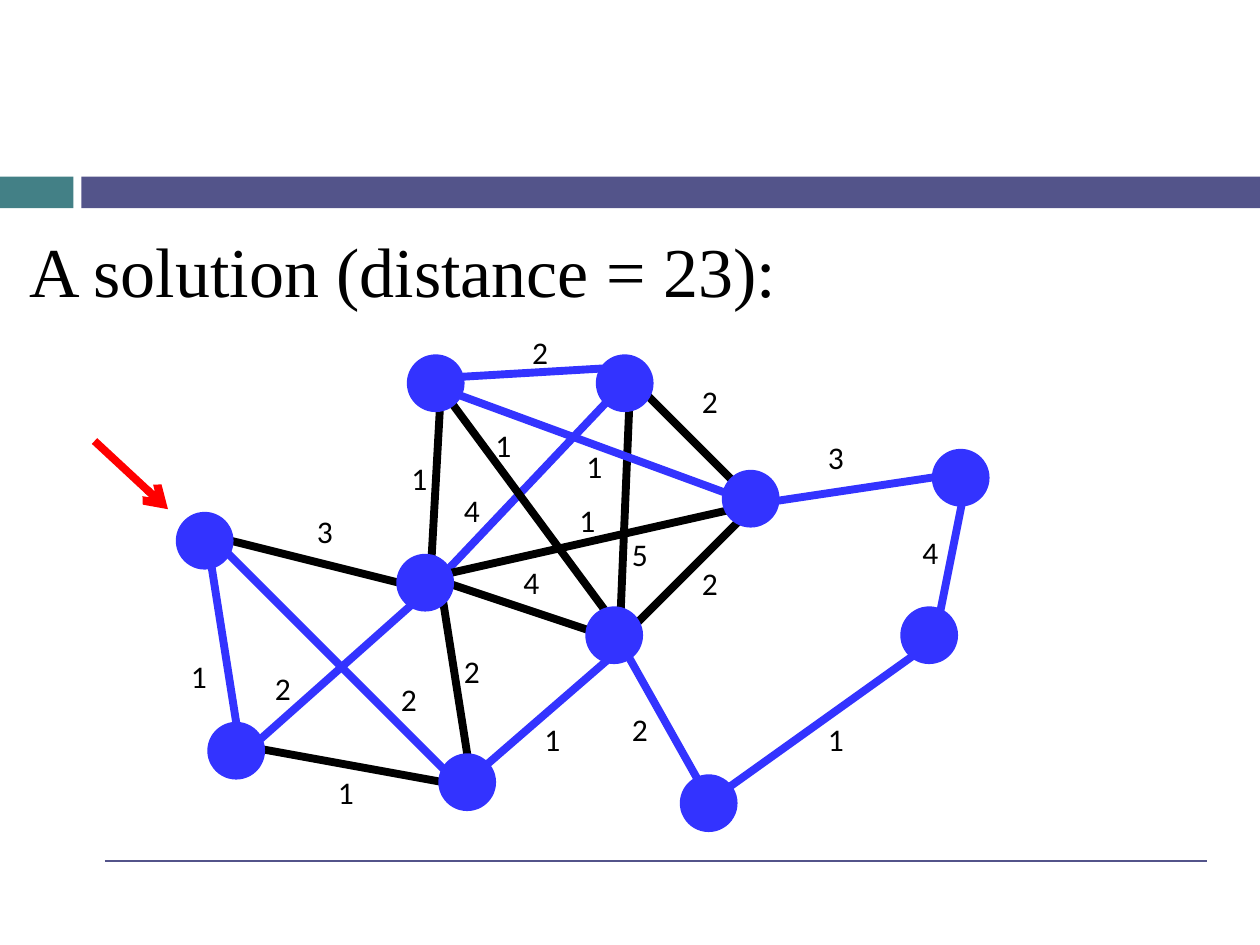
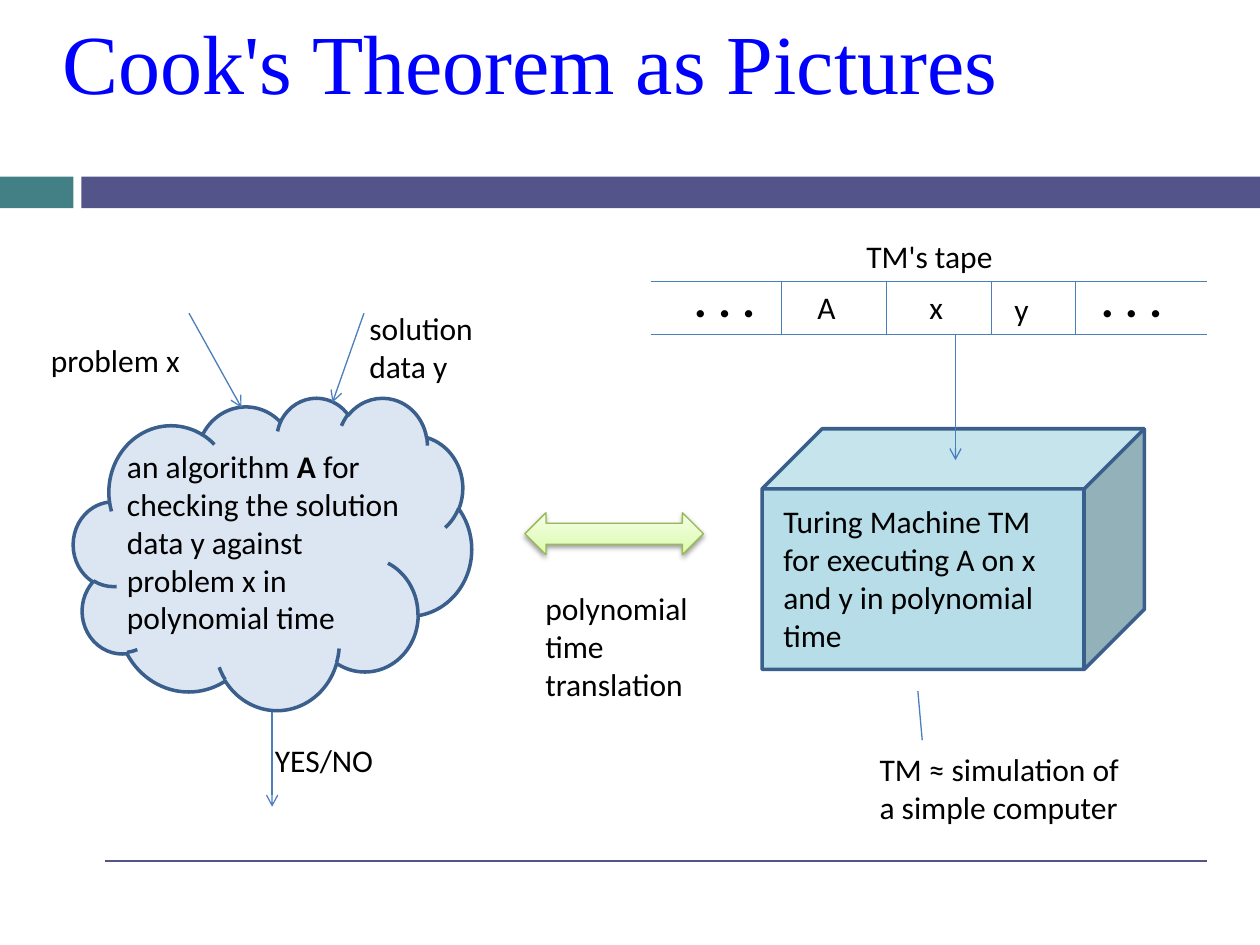
"""Build two slides: a shortest tour through a weighted graph, and Cook's theorem."""
from dataclasses import dataclass

from lxml.etree import SubElement
from pptx import Presentation
from pptx.dml.color import RGBColor
from pptx.enum.shapes import MSO_CONNECTOR as Connector, MSO_SHAPE as Preset
from pptx.enum.text import MSO_AUTO_SIZE as AutoSize
from pptx.oxml import parse_xml
from pptx.oxml.ns import nsdecls, qn
from pptx.util import Pt

BLACK = RGBColor(0x00, 0x00, 0x00)
RED = RGBColor(0xFF, 0x00, 0x00)
TITLE_BLUE = RGBColor(0x00, 0x00, 0xFF)
TOUR_BLUE = RGBColor(0x33, 0x33, 0xFF)
TEAL = RGBColor(0x43, 0x80, 0x86)
INDIGO = RGBColor(0x53, 0x54, 0x8A)
LINE_BLUE = RGBColor(0x4B, 0x7E, 0xBC)
OUTLINE = RGBColor(0x3A, 0x5F, 0x8C)
CLOUD_FILL = RGBColor(0xDC, 0xE6, 0xF2)
CUBE_FILL = RGBColor(0xB7, 0xDE, 0xE8)
ARROW_GREEN = RGBColor(0x98, 0xB9, 0x55)
ARROW_STOPS = ((0, "DAFDA7"), (35, "E4FCC2"), (100, "F5FFE7"))

TITLE_FONT, LABEL_FONT = "Times New Roman", "Calibri"
NODE_SIZE = 30
TAPE_TOP, TAPE_BOTTOM = 161, 191
TAPE_LEFT, TAPE_RIGHT = 372, 690

Point = tuple[float, float]


@dataclass(frozen=True)
class Edge:
    """A weighted edge of the graph, with the place of its weight."""
    start: Point
    end: Point
    weight: int
    weight_at: Point
    in_tour: bool = True


@dataclass(frozen=True)
class Label:
    """A text with its frame; asterisks enclose bold words."""
    text: str
    left: float
    top: float
    width: float
    height: float = 29
    size: float = 18
    bold: bool = False


@dataclass(frozen=True)
class Line:
    """A straight line, with or without an arrowhead."""
    start: Point
    end: Point
    arrow: bool = False


NODES = [
    (390, 444), (516, 348), (534, 258), (102, 294), (342, 204), (336, 348),
    (414, 270), (228, 318), (252, 432), (120, 414), (234, 204),
]

EDGES = [
    Edge((120, 318), (138, 432), 1, (102, 372)),
    Edge((138, 432), (246, 336), 2, (150, 379)),
    Edge((252, 222), (246, 330), 1, (228, 259), in_tour=False),
    Edge((252, 336), (270, 450), 2, (258, 369), in_tour=False),
    Edge((354, 366), (246, 330), 4, (292, 318), in_tour=False),
    Edge((360, 222), (354, 366), 5, (354, 302), in_tour=False),
    Edge((366, 222), (426, 282), 2, (394, 215), in_tour=False),
    Edge((552, 276), (534, 366), 4, (520, 301)),
    Edge((552, 270), (432, 288), 3, (466, 247)),
    Edge((354, 210), (252, 216), 2, (297, 187)),
    Edge((354, 222), (246, 336), 4, (258, 277)),
    Edge((252, 222), (354, 360), 1, (276, 240), in_tour=False),
    Edge((432, 288), (354, 366), 2, (394, 319), in_tour=False),
    Edge((432, 288), (252, 222), 1, (328, 252)),
    Edge((246, 330), (432, 288), 1, (324, 283), in_tour=False),
    Edge((120, 306), (264, 450), 2, (222, 385)),
    Edge((240, 336), (120, 306), 3, (174, 289), in_tour=False),
    Edge((138, 426), (270, 450), 1, (186, 438), in_tour=False),
    Edge((534, 366), (408, 456), 1, (466, 408)),
    Edge((360, 366), (270, 444), 1, (304, 408)),
    Edge((354, 366), (408, 462), 2, (354, 402)),
]

TAPE_LINES = [
    *(Line((TAPE_LEFT, y), (TAPE_RIGHT, y)) for y in (TAPE_TOP, TAPE_BOTTOM)),
    *(Line((x, TAPE_TOP), (x, TAPE_BOTTOM)) for x in (446.5, 506.5, 566.5, 614.5)),
]

FLOW_LINES = [
    Line((108, 179), (138, 233), arrow=True),
    Line((208, 179), (190, 230), arrow=True),
    Line((155.5, 407), (155.5, 461), arrow=True),
    Line((546, 191), (546, 263), arrow=True),
    Line((527, 423), (524.5, 395)),
]

THEOREM_LABELS = [
    Label("an algorithm *A* for\nchecking the solution\ndata y against \vproblem x in\n"
          "polynomial time", 65.5, 252, 191, 117),
    Label("A", 460, 161, 29),
    Label("x", 524, 161, 24),
    Label("y", 572.5, 162, 24.5),
    Label("TM's tape", 488, 132, 94),
    Label(". . .", 622, 150, 50, 41, size=28, bold=True),
    Label(". . .", 389.5, 150, 50, 41, size=28, bold=True),
    Label("problem x", 22, 191.5, 99),
    Label("solution\ndata y", 204, 173, 85, 51),
    Label("YES/NO", 150, 420, 83),
    Label("polynomial\ntime\ntranslation", 304.5, 333, 107, 73),
    Label("Turing Machine TM\nfor executing A on x\nand y in polynomial\ntime",
          440.5, 283.5, 182, 94),
    Label("TM ≈ simulation of\na simple computer", 495.5, 425, 168, 51),
]


def add_text(page, label: Label, *, font: str = LABEL_FONT, color: RGBColor = BLACK,
             heading: bool = False) -> None:
    """Write a label; a heading wraps, has no insets and looser lines."""
    box = page.shapes.add_textbox(
        Pt(label.left), Pt(label.top), Pt(label.width), Pt(label.height))
    frame = box.text_frame
    frame.word_wrap = heading
    if heading:
        frame.margin_left = frame.margin_top = frame.margin_right = frame.margin_bottom = 0
    else:
        frame.auto_size = AutoSize.SHAPE_TO_FIT_TEXT
    for number, text in enumerate(label.text.split("\n")):
        para = frame.add_paragraph() if number else frame.paragraphs[0]
        if heading:
            para.line_spacing = 1.1
        for row, piece in enumerate(text.split("\v")):
            if row:
                para.add_line_break()
            for turn, words in enumerate(piece.split("*")):
                span = para.add_run()
                span.text = words
                span.font.name = font
                span.font.size = Pt(label.size)
                span.font.color.rgb = color
                span.font.bold = label.bold or turn % 2 == 1


def add_line(page, line: Line, color: RGBColor = LINE_BLUE, weight: float = 0.75) -> None:
    """Draw a straight line without a shadow."""
    connector = page.shapes.add_connector(
        Connector.STRAIGHT, *(Pt(value) for value in (*line.start, *line.end)))
    connector.line.color.rgb = color
    connector.line.width = Pt(weight)
    if line.arrow:
        SubElement(connector.line._get_or_add_ln(), qn("a:tailEnd"), type="arrow")
    SubElement(connector._element.spPr, qn("a:effectLst"))


def add_preset(page, preset: Preset, left: float, top: float, width: float, height: float,
               fill: RGBColor, outline: RGBColor | None = None, weight: float = 2):
    """Draw a preset shape in flat colours and return it."""
    shape = page.shapes.add_shape(preset, Pt(left), Pt(top), Pt(width), Pt(height))
    shape.shadow.inherit = False
    shape.fill.solid()
    shape.fill.fore_color.rgb = fill
    if outline is None:
        shape.line.fill.background()
    else:
        shape.line.color.rgb = outline
        shape.line.width = Pt(weight)
    return shape


def add_translation_arrow(page) -> None:
    """Draw the double arrow with its gradient and soft shadow."""
    arrow = add_preset(page, Preset.LEFT_RIGHT_ARROW, 300, 293, 102, 24,
                       ARROW_GREEN, ARROW_GREEN, 0.75)
    properties = arrow._element.spPr
    stops = "".join(f'<a:gs pos="{place * 1000}"><a:srgbClr val="{color}"/></a:gs>'
                    for place, color in ARROW_STOPS)
    gradient = parse_xml(f'<a:gradFill {nsdecls("a")} rotWithShape="1"><a:gsLst>{stops}</a:gsLst>'
                         '<a:lin ang="16200000" scaled="1"/></a:gradFill>')
    properties.replace(properties.find(qn("a:solidFill")), gradient)
    shadow = SubElement(
        properties.find(qn("a:effectLst")), qn("a:outerShdw"), blurRad=str(Pt(3.1)),
        dist=str(Pt(1.6)), dir="5400000", rotWithShape="0")
    color = SubElement(shadow, qn("a:srgbClr"), val=str(BLACK))
    SubElement(color, qn("a:alpha"), val="38000")


def add_page(deck):
    """Add a page with the shared bands and the rule at its foot."""
    page = deck.slides.add_slide(deck.slide_layouts[6])
    add_preset(page, Preset.RECTANGLE, 0, 101, 42, 18, TEAL)
    add_preset(page, Preset.RECTANGLE, 46.5, 101, 673.5, 18, INDIGO)
    add_line(page, Line((60, 492), (690, 492)), INDIGO, 1.5)
    return page


def build_tour(deck) -> None:
    """Show the graph with the edges of the tour in blue."""
    page = add_page(deck)
    for edge in EDGES:
        add_line(page, Line(edge.start, edge.end), TOUR_BLUE if edge.in_tour else BLACK, 4.5)
    for left, top in NODES:
        add_preset(page, Preset.OVAL, left, top, NODE_SIZE, NODE_SIZE, TOUR_BLUE, TOUR_BLUE, 3)
    add_text(page, Label("A solution (distance = 23):", 17, 125, 435, 50, size=40),
             font=TITLE_FONT, heading=True)
    for edge in EDGES:
        add_text(page, Label(str(edge.weight), *edge.weight_at, 26))
    add_line(page, Line((54, 252), (96, 291), arrow=True), RED, 4.5)


def build_theorem(deck) -> None:
    """Show the algorithm and the machine that simulates it."""
    page = add_page(deck)
    add_text(page, Label("Cook's Theorem as Pictures", 36, 0, 648, 100, size=48),
             font=TITLE_FONT, color=TITLE_BLUE, heading=True)
    add_preset(page, Preset.CLOUD, 42, 227, 227.5, 178.5, CLOUD_FILL, OUTLINE)
    add_translation_arrow(page)
    add_preset(page, Preset.CUBE, 435.5, 245, 218.5, 137.5, CUBE_FILL, OUTLINE)
    for line in TAPE_LINES + FLOW_LINES:
        add_line(page, line)
    for label in THEOREM_LABELS:
        add_text(page, label)


def main() -> None:
    """Build the deck and save it."""
    deck = Presentation()
    deck.slide_width, deck.slide_height = Pt(720), Pt(540)
    build_tour(deck)
    build_theorem(deck)
    deck.save("out.pptx")


if __name__ == "__main__":
    main()
